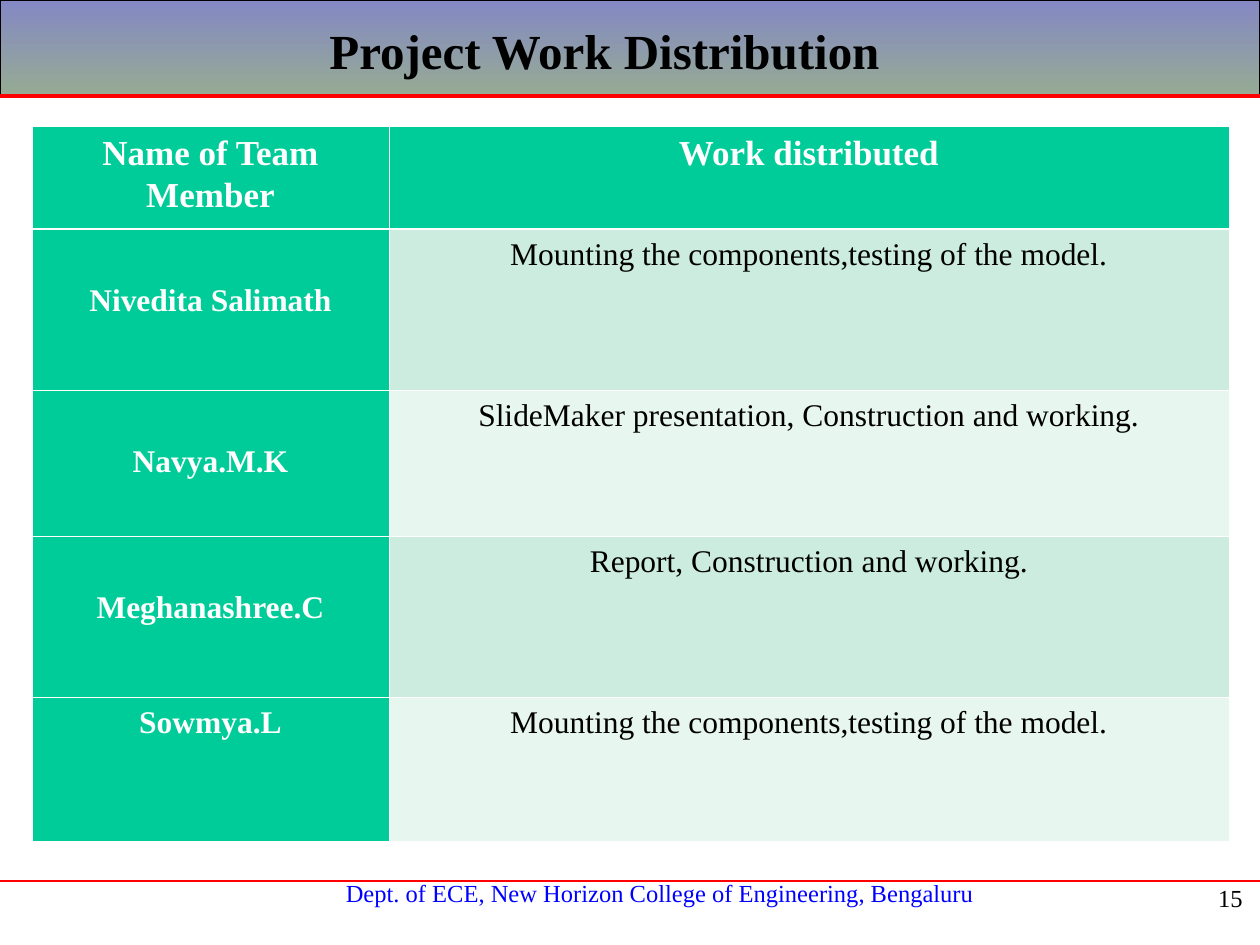
"""Builds the project work distribution slide."""
from lxml import etree
from pptx import Presentation
from pptx.dml.color import RGBColor
from pptx.enum.shapes import MSO_CONNECTOR, MSO_SHAPE
from pptx.enum.text import MSO_ANCHOR, PP_ALIGN
from pptx.oxml.ns import qn
from pptx.util import Emu, Pt

CENTER, RIGHT = PP_ALIGN.CENTER, PP_ALIGN.RIGHT
TOP = MSO_ANCHOR.TOP
RECTANGLE, STRAIGHT = MSO_SHAPE.RECTANGLE, MSO_CONNECTOR.STRAIGHT
COLORS = {
    "black": "000000", "white": "FFFFFF", "red": "FF0000", "blue": "0000FF",
    "banner_top": "8488C4", "banner_bottom": "96AB94",
    "green": "00CC99", "mint": "CBECDE", "pale": "E7F6EF",
}
HEADINGS = ("Name of Team Member", "Work distributed")
TEAM = (
    ("Nivedita Salimath", "Mounting the components,testing of the model."),
    ("Navya.M.K", "SlideMaker presentation, Construction and working."),
    ("Meghanashree.C", "Report, Construction and working."),
    ("Sowmya.L", "Mounting the components,testing of the model."),
)
COLUMN_WIDTHS = (357, 840)
ROW_HEIGHTS = (103, 161, 146, 161, 144)
NAME_DROPS = (52, 52, 52, 6)


def px(length):
    return Emu(round(length * 914400 / 126))


def rgb(name):
    return RGBColor.from_string(COLORS[name])


class Deck:
    """Holds the style and the current slide."""

    font_name = "Times New Roman"

    def __init__(self):
        self.presentation = Presentation()
        self.presentation.slide_width = px(1260)
        self.presentation.slide_height = px(945)
        self.slide = self.presentation.slides.add_slide(self.presentation.slide_layouts[5])

    def set_text(self, frame, text, size, color, bold=False, align=CENTER, spacing=1.0):
        frame.word_wrap = True
        paragraph = frame.paragraphs[0]
        paragraph.text = text
        layout = {"alignment": align, "line_spacing": spacing, "space_before": Pt(0)}
        for key, value in layout.items():
            setattr(paragraph, key, value)
        font = paragraph.runs[0].font
        for key, value in {"name": self.font_name, "size": Pt(size), "bold": bold}.items():
            setattr(font, key, value)
        font.color.rgb = rgb(color)

    def banner(self, box, stops):
        banner = self.slide.shapes.add_shape(RECTANGLE, *map(px, box))
        banner.shadow.inherit = False
        banner.fill.gradient()
        banner.fill.gradient_angle = 270
        for position, (stop, color) in enumerate(zip(banner.fill.gradient_stops, stops)):
            stop.position = position
            stop.color.rgb = rgb(color)
        banner.line.color.rgb = rgb("black")
        banner.line.width = Pt(0.75)

    def rule(self, y, width):
        rule = self.slide.shapes.add_connector(STRAIGHT, 0, px(y), px(1260), px(y))
        rule.line.color.rgb = rgb("red")
        rule.line.width = Pt(width)
        etree.SubElement(rule._element.spPr, qn("a:effectLst"))

    def title(self, box, text):
        title = self.slide.shapes.title
        for key, value in zip(("left", "top", "width", "height"), box):
            setattr(title, key, px(value))
        title.text_frame.vertical_anchor = TOP
        self.set_text(title.text_frame, text, 28, "black", bold=True, spacing=1.07)
        tree = self.slide.shapes._spTree
        tree.remove(title._element)
        tree.append(title._element)

    def label(self, box, text, color, align=CENTER):
        frame = self.slide.shapes.add_textbox(*map(px, box)).text_frame
        self.set_text(frame, text, 14, color, align=align)

    def borders(self, cell, top, bottom):
        properties = cell._tc.get_or_add_tcPr()
        for side, width in {"L": 0.45, "R": 0.45, "T": top, "B": bottom}.items():
            line = etree.SubElement(properties, qn(f"a:ln{side}"), w=str(Pt(width)))
            fill = etree.SubElement(line, qn("a:solidFill"))
            etree.SubElement(fill, qn("a:srgbClr"), val=COLORS["white"])

    def cell(self, cell, text, fill, size=18, color="white", bold=True,
             drop=6, top=0.45, bottom=0.45):
        self.borders(cell, top, bottom)
        cell.fill.solid()
        cell.fill.fore_color.rgb = rgb(fill)
        margins = {"left": 8, "right": 8, "top": drop, "bottom": 6}
        for side, margin in margins.items():
            setattr(cell, f"margin_{side}", px(margin))
        self.set_text(cell.text_frame, text, size, color, bold, spacing=1.07)

    def table(self, left, top):
        size = sum(COLUMN_WIDTHS), sum(ROW_HEIGHTS)
        table = self.slide.shapes.add_table(
            len(ROW_HEIGHTS), len(COLUMN_WIDTHS), *map(px, (left, top, *size))).table
        for column, width in zip(table.columns, COLUMN_WIDTHS):
            column.width = px(width)
        for row, height in zip(table.rows, ROW_HEIGHTS):
            row.height = px(height)
        for column, heading in enumerate(HEADINGS):
            self.cell(table.cell(0, column), heading, "green", size=20, bottom=1.47)
        for row, ((member, work), drop) in enumerate(zip(TEAM, NAME_DROPS), 1):
            top_border = 1.47 if row == 1 else 0.45
            self.cell(table.cell(row, 0), member, "green", drop=drop, top=top_border)
            self.cell(table.cell(row, 1), work, "mint" if row % 2 else "pale",
                      color="black", bold=False, top=top_border)


def main():
    deck = Deck()
    deck.banner((0, 0, 1260, 95), ("banner_top", "banner_bottom"))
    deck.rule(96, 2.25)
    deck.label((214, 872, 892, 43),
               "Dept. of ECE, New Horizon College of Engineering, Bengaluru", "blue")
    deck.rule(881, 1.5)
    deck.label((993, 877, 262, 63), "15", "black", align=RIGHT)
    deck.title((289, 10, 631, 76), "Project Work Distribution")
    deck.table(32, 126)
    deck.presentation.save("out.pptx")


if __name__ == "__main__":
    main()
